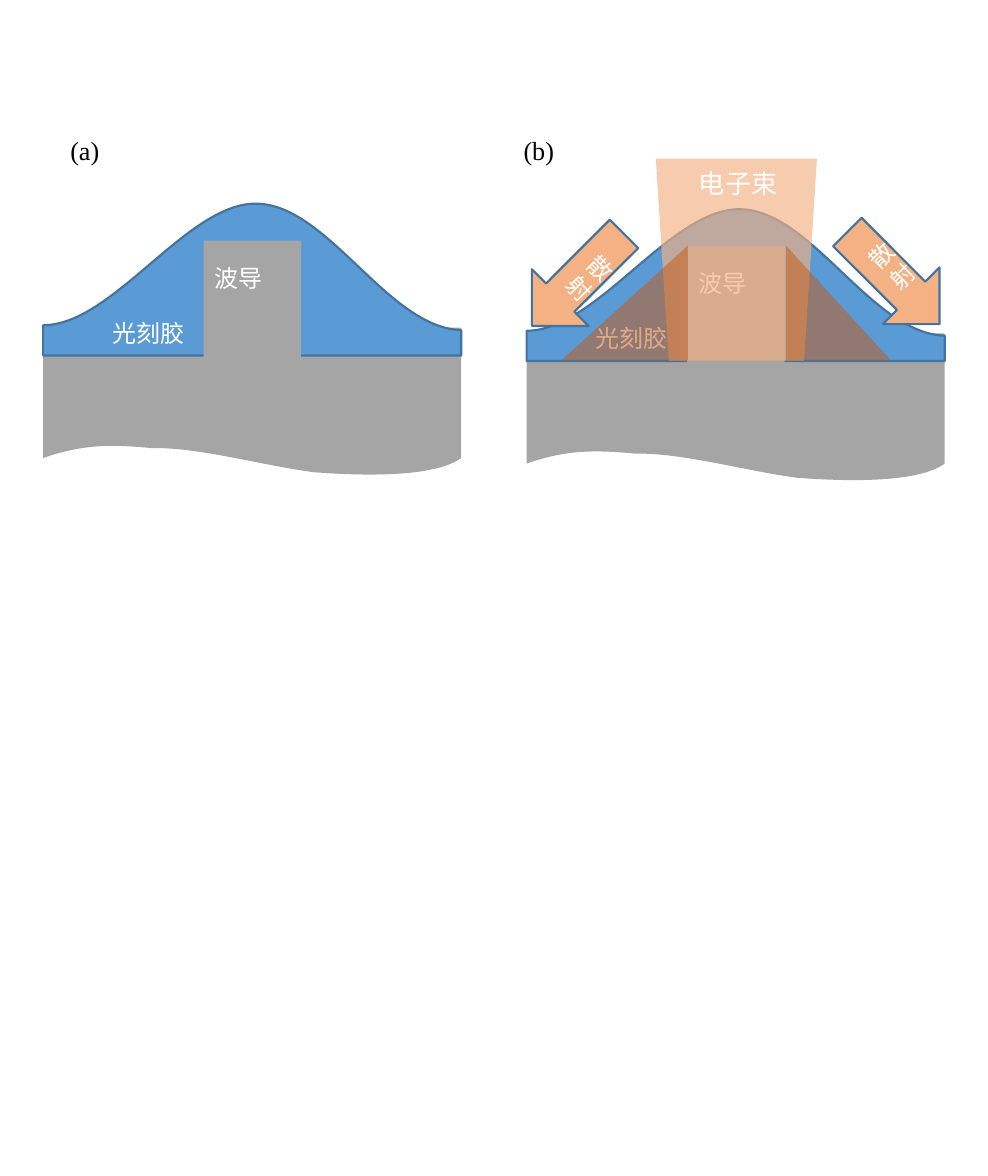
from dataclasses import dataclass
from pptx import Presentation
from pptx.dml.color import RGBColor as Rgb
from pptx.enum.shapes import MSO_SHAPE as Kind
from pptx.enum.text import MSO_ANCHOR as Anchor, PP_ALIGN as Align
from pptx.oxml.ns import qn
from pptx.oxml.xmlchemy import OxmlElement as Node
from pptx.util import Cm, Pt


@dataclass(frozen=True)
class Theme:
    gray: str = "A5A5A5"
    blue: str = "5B9BD5"
    edge: str = "43739E"
    peach: str = "F4B183"
    rust: str = "C55A11"
    white: str = "FFFFFF"
    black: str = "000000"
    font: str = "Times New Roman"
    small: int = 11
    large: int = 12


theme = Theme()


def write(shape, text, size=theme.small, color=theme.white, align=Align.LEFT, anchor=Anchor.TOP):
    frame = shape.text_frame
    frame.word_wrap = True
    frame.vertical_anchor = anchor
    para = frame.paragraphs[0]
    para.alignment = align
    run = para.add_run()
    run.text = text
    run.font.name = theme.font
    run.font.size = Pt(size)
    run.font.color.rgb = Rgb.from_string(color)


def paint(shape, color, alpha=100, edge=False):
    shape.shadow.inherit = False
    shape.fill.solid()
    shape.fill.fore_color.rgb = Rgb.from_string(color)
    if alpha < 100:
        tint = Node("a:alpha")
        tint.set("val", str(alpha * 1000))
        shape.fill._xPr.find(".//" + qn("a:srgbClr")).append(tint)
    if edge:
        shape.line.color.rgb = Rgb.from_string(theme.edge)
        shape.line.width = Pt(1)
    else:
        shape.line.fill.background()


deck = Presentation()
deck.slide_width, deck.slide_height = Cm(16), Cm(19.05)
slide = deck.slides.add_slide(deck.slide_layouts[6])
shapes = slide.shapes

# Outlines: points, index of each curve's first control point, fill, edge
base = (
    [(0.7, 5.31), (7.47, 5.31), (7.47, 7.42),
     (7.06, 7.72), (5.99, 7.72), (5.08, 7.65),
     (4.24, 7.54), (3.2, 7.24), (2.46, 7.26),
     (1.75, 7.19), (1.3, 7.21), (0.7, 7.42)],
    (2, 5, 8), theme.gray, False)
resist = (
    [(0.7, 5.27), (1.83, 5.27), (3.02, 3.3), (4.14, 3.3),
     (5.31, 3.3), (6.27, 5.31), (7.47, 5.35),
     (7.47, 5.76), (0.7, 5.76)],
    (0, 3), theme.blue, True)

# Both panels: substrate, resist, waveguide and their labels
for dx, dy in ((0, 0), (7.83, 0.09)):
    for points, curves, color, edge in (base, resist):
        spots = [(Cm(x + dx), Cm(y + dy)) for x, y in points]
        pen = shapes.build_freeform(*spots[0])
        pen.add_line_segments(spots[1:], close=True)
        form = pen.convert_to_shape()
        lines = list(form._element.iter(qn("a:lnTo")))
        for first in curves:
            bend = Node("a:cubicBezTo")
            lines[first].addprevious(bend)
            for line in lines[first:first + 3]:
                bend.append(line[0])
                line.getparent().remove(line)
        paint(form, color, edge=edge)
    guide = shapes.add_shape(Kind.RECTANGLE, Cm(3.3 + dx), Cm(3.9 + dy), Cm(1.58), Cm(1.92))
    paint(guide, theme.gray)
    for text, x, y in (("光刻胶", 1.57, 5.03), ("波导", 3.23, 4.14)):
        write(shapes.add_textbox(Cm(x + dx), Cm(y + dy), Cm(1.73), Cm(0.74)), text)

# Electron beam
beam = shapes.add_shape(Kind.TRAPEZOID, Cm(10.62), Cm(2.57), Cm(2.61), Cm(3.27))
beam.adjustments[0] = 0.08
beam.rotation = 180
paint(beam, theme.peach, alpha=66)

# Scattering zones beside the waveguide
for x, width, flip in ((12.73, 1.7, False), (9.09, 2.05, True)):
    zone = shapes.add_shape(Kind.RIGHT_TRIANGLE, Cm(x), Cm(3.98), Cm(width), Cm(1.86))
    if flip:
        zone._element.spPr.find(qn("a:xfrm")).set("flipH", "1")
    paint(zone, theme.rust, alpha=51)

# Scattering arrows
for x, y, turn in ((8.71, 3.48, 45), (13.82, 3.45, 315)):
    arrow = shapes.add_shape(Kind.DOWN_ARROW, Cm(x), Cm(y), Cm(1.3), Cm(2.11))
    arrow.rotation = turn
    paint(arrow, theme.peach, edge=True)
    write(arrow, "散射", align=Align.CENTER, anchor=Anchor.MIDDLE)

# Panel letters and beam label
for text, x, y, color in (("(a)", 0.89, 2.06, theme.black),
                          ("(b)", 8.23, 2.06, theme.black),
                          ("电子束", 11.07, 2.59, theme.white)):
    box = shapes.add_textbox(Cm(x), Cm(y), Cm(1.87), Cm(0.76))
    write(box, text, size=theme.large, color=color)

deck.save("out.pptx")
